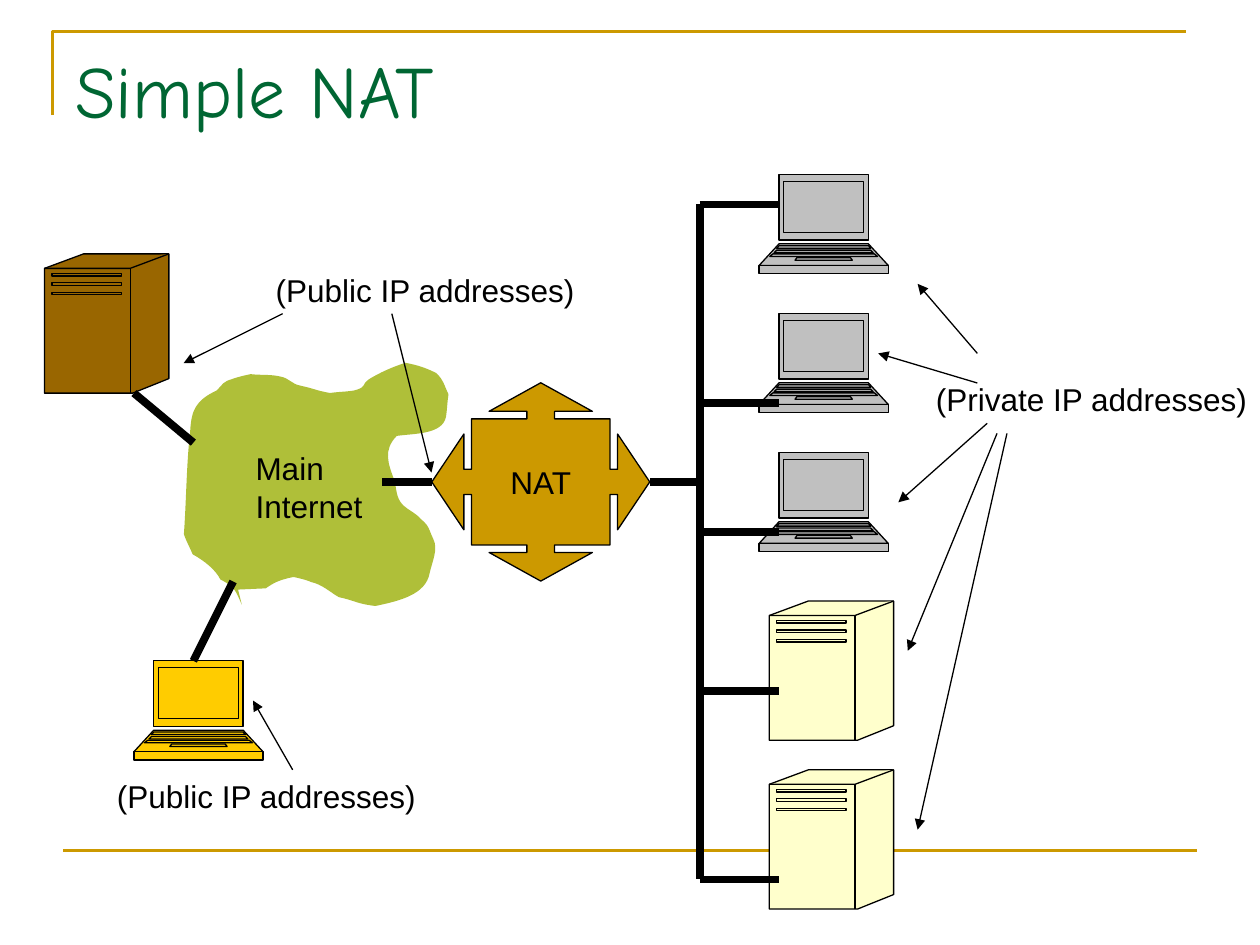
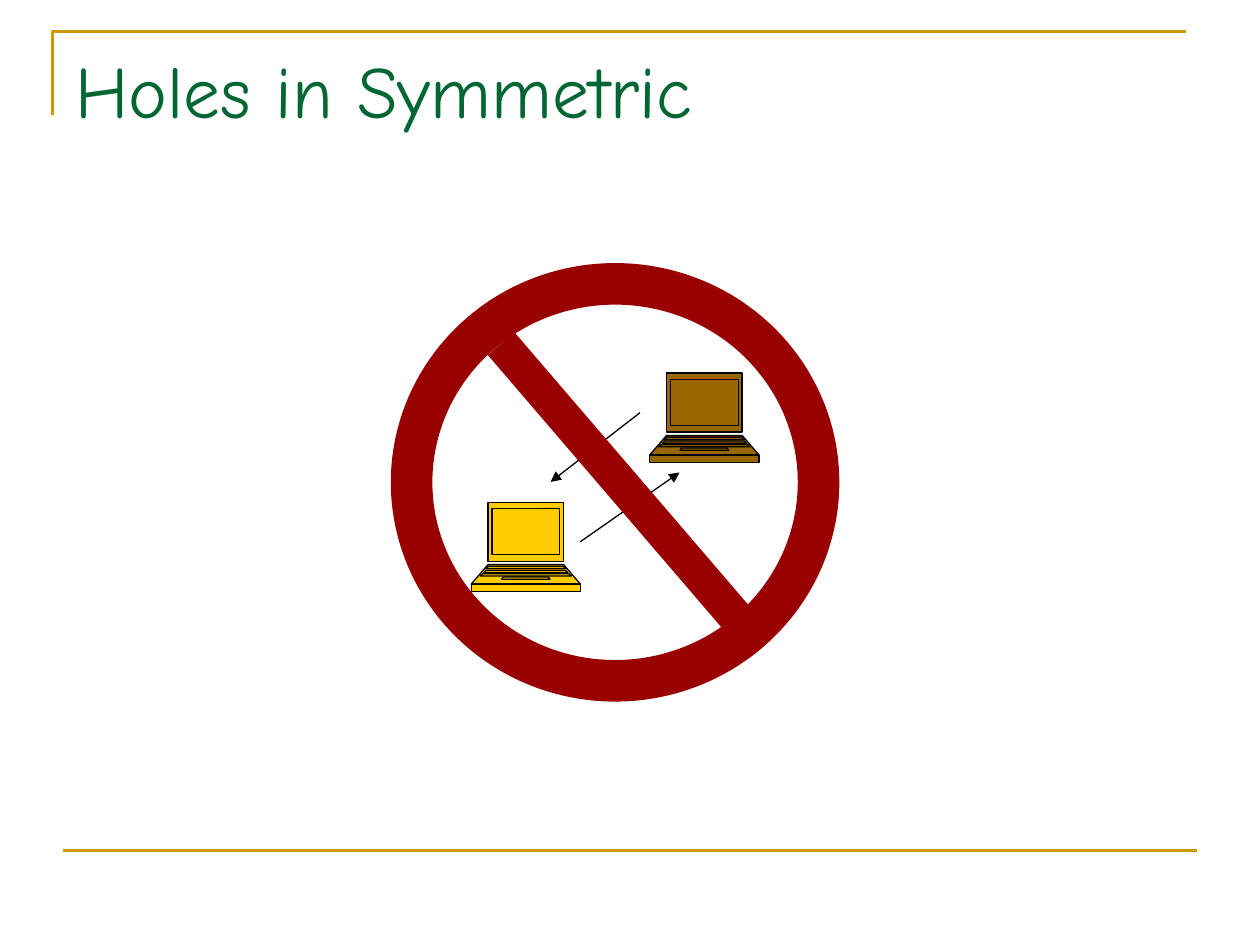
from lxml import etree
from pptx import Presentation
from pptx import util as u
from pptx.dml.color import RGBColor
from pptx.enum import shapes, text
from pptx.oxml.ns import qn

# Grid of 100 columns by 75 rows, shared by all slides
COLS = 100
WIDE, HIGH = u.Inches(10), u.Inches(7.5)
CELL = WIDE / COLS

GOLD, GREEN, BLACK = "CC9900", "006633", "000000"
GREY, CREAM, BROWN, AMBER = "C0C0C0", "FFFFCC", "996600", "FFCC00"
MOSS, RED = "AFBF39", "990000"
BODY, HEAD = "Arial", "Comic Neue"
THIN, RULE, CABLE = 0.75, 1.5, 4.5

# Laptop panels: side inset at top and bottom, upper and lower edge
LAPTOP = (10.25, 7.87)
PANELS = [
    (1.58, 1.58, 0, 5.2), (1.58, 0, 5.5, 7.22), (0, 0, 7.22, 7.87),
    (1.95, 1.95, 0.55, 4.6), (1.58, 1.38, 5.65, 5.85), (3, 2.85, 6.6, 6.8),
    (1.4, 1.2, 6, 6.2), (1.1, 0.85, 6.3, 6.5),
]

# Cloud outline: start, then cubic curves (two controls and an end)
CLOUD = [
    (19.2, 48),
    (18.7, 46.9), (18.7, 46.6), (17.5, 46),
    (17.1, 45.2), (16.2, 44.5), (15.3, 44),
    (15.1, 43.5), (14.8, 43), (14.6, 42.4),
    (14.8, 39.7), (14.8, 36.9), (15.1, 34.2),
    (15.2, 32.6), (15.5, 31.8), (17.2, 31),
    (17.7, 30.5), (17.7, 30.3), (18.4, 30.1),
    (18.9, 29.9), (19.9, 29.7), (19.9, 29.7),
    (20.7, 29.8), (21.5, 29.7), (22.3, 29.9),
    (22.9, 30), (23.2, 30.5), (23.8, 30.6),
    (25.5, 31), (24.7, 30.9), (26.2, 31.2),
    (26.8, 31.1), (27.5, 31.1), (28.1, 31),
    (29.2, 30.7), (28.6, 30.6), (29.3, 30.1),
    (30.1, 29.6), (31.2, 29.1), (32.2, 28.8),
    (33.2, 29), (33.8, 29.2), (34.6, 29.6),
    (35.2, 30.1), (35.3, 30.7), (35.6, 31.3),
    (35.5, 31.9), (35.5, 32.5), (35.4, 33.1),
    (35.1, 34.5), (32.9, 34.4), (31.5, 34.6),
    (30.4, 35.7), (30.8, 36.8), (31.3, 38.1),
    (31.5, 38.8), (31.4, 39.5), (32, 40.1),
    (32.4, 40.5), (33, 40.7), (33.4, 41.2),
    (33.6, 41.3), (33.7, 41.5), (33.9, 41.7),
    (34.1, 42), (34.2, 42.4), (34.4, 42.8),
    (34.8, 43.6), (34.3, 44.6), (34.1, 45.5),
    (33.8, 47.2), (31.7, 47.7), (29.8, 48.1),
    (28.2, 47.9), (28.3, 47.7), (26.9, 47.4),
    (26.2, 47), (25.6, 46.4), (24.7, 46.2),
    (24.3, 46), (23.3, 45.8), (23.3, 45.8),
    (22.3, 46), (21.8, 46.2), (21.1, 46.7),
]

# One quarter of the four-way arrow, from its top tip to its right tip
QUARTER = [
    (0, -7.87), (4.1, -5.6), (1.1, -5.6), (1.1, -5), (5.5, -5),
    (5.5, -1), (6.1, -1), (6.1, -3.8), (8.65, 0),
]


def cell(n):
    return u.Emu(round(n * CELL))


def color(hue):
    return RGBColor.from_string(hue)


def paint(shape, fill=None, line=None, size=THIN):
    """Set fill and outline; None leaves either out."""
    shape.shadow.inherit = False
    if fill:
        shape.fill.solid()
        shape.fill.fore_color.rgb = color(fill)
    else:
        shape.fill.background()
    if line:
        shape.line.color.rgb = color(line)
        shape.line.width = u.Pt(size)
    else:
        shape.line.fill.background()


def loop(pts):
    return pts + pts[:1]


def outline(slide, parts, fill=None, line=BLACK, size=THIN):
    """Draw all parts as one shape; a part that ends at its start is closed."""
    pen = slide.shapes.build_freeform(*map(cell, parts[0][0]), scale=1.0)
    for i, part in enumerate(parts):
        dots = [(cell(x), cell(y)) for x, y in part]
        if i:
            pen.move_to(*dots[0])
        pen.add_line_segments(dots[1:], close=part[0] == part[-1])
    shape = pen.convert_to_shape()
    paint(shape, fill, line, size)
    return shape


def route(shape):
    return next(shape._element.iter(qn("a:path")))


def layer(shape):
    """Give each part its own path, so that inner parts cut no holes."""
    first = now = route(shape)
    for node in list(first)[1:]:
        if node.tag == qn("a:moveTo"):
            now = etree.SubElement(
                first.getparent(), first.tag, dict(first.attrib))
        now.append(node)


def link(slide, start, end, size=THIN, hue=BLACK, arrow=False):
    line = slide.shapes.add_connector(
        shapes.MSO_CONNECTOR.STRAIGHT, *map(cell, start + end))
    line.line.color.rgb = color(hue)
    line.line.width = u.Pt(size)
    if arrow:
        tail = etree.SubElement(line.line._get_or_add_ln(), qn("a:tailEnd"))
        tail.set("type", "triangle")
    etree.SubElement(line._element.spPr, qn("a:effectLst"))


def arrow(slide, start, end):
    link(slide, start, end, arrow=True)


def cable(slide, start, end):
    link(slide, start, end, CABLE)


def write(frame, lines, size=18, font=BODY, hue=BLACK, align="LEFT"):
    for i, words in enumerate(lines):
        para = frame.add_paragraph() if i else frame.paragraphs[0]
        para.alignment = getattr(text.PP_ALIGN, align)
        run = para.add_run()
        run.text = words
        run.font.size = u.Pt(size)
        run.font.name = font
        run.font.color.rgb = color(hue)


def label(slide, x, y, w, h, *lines):
    frame = slide.shapes.add_textbox(*map(cell, (x, y, w, h))).text_frame
    frame.word_wrap = False
    frame.auto_size = text.MSO_AUTO_SIZE.SHAPE_TO_FIT_TEXT
    write(frame, lines)


def begin(deck, title):
    """Add a slide with the shared rules and title."""
    slide = deck.slides.add_slide(deck.slide_layouts[6])
    outline(slide, [[(4.17, 9.15), (4.17, 2.48), (94.17, 2.48)]],
            line=GOLD, size=RULE)
    link(slide, (5, 67.5), (95, 67.5), RULE, GOLD)
    frame = slide.shapes.add_textbox(
        *map(cell, (5, 3.05, 90, 12.5))).text_frame
    frame.word_wrap = True
    write(frame, [title], 42, HEAD, GREEN)
    return slide


def laptop(slide, x, y, fill, w=LAPTOP[0], h=LAPTOP[1]):
    full, tall = LAPTOP
    parts = []
    for top, low, y1, y2 in PANELS:
        pts = [(top, y1), (full - top, y1), (full - low, y2), (low, y2)]
        parts.append(loop(
            [(x + a * w / full, y + b * h / tall) for a, b in pts]))
    layer(outline(slide, parts, fill))


def server(slide, x, y, fill):
    parts = [
        loop([(0, 1.15), (3.1, 0), (9.87, 0), (9.87, 9.9),
              (7, 11.05), (0, 11.05)]),
        [(0, 1.15), (6.8, 1.15), (9.87, 0)],
        [(6.8, 1.15), (6.8, 11.05)],
    ]
    for row in range(3):
        top = 1.55 + 0.75 * row
        parts.append(loop([(0.6, top), (6.1, top),
                           (6.1, top + 0.2), (0.6, top + 0.2)]))
    layer(outline(
        slide, [[(x + a, y + b) for a, b in part] for part in parts], fill))


def cloud(slide):
    shape = outline(slide, [CLOUD + [(18.9, 46.8)]], MOSS, None)
    # Turn each three points into one curve
    nodes = list(route(shape))[1:-1]
    for i in range(0, len(nodes), 3):
        curve = etree.Element(qn("a:cubicBezTo"))
        nodes[i].addprevious(curve)
        for node in nodes[i:i + 3]:
            curve.append(node[0])
            node.getparent().remove(node)


def router(slide, x, y):
    right = QUARTER + [(a, -b) for a, b in QUARTER[-2::-1]]
    ring = right + [(-a, b) for a, b in right[-2:0:-1]]
    shape = outline(slide, [loop([(x + a, y + b) for a, b in ring])], GOLD)
    frame = shape.text_frame
    frame.word_wrap = False
    frame.vertical_anchor = text.MSO_ANCHOR.MIDDLE
    write(frame, ["NAT"], align="CENTER")


def simple(deck):
    slide = begin(deck, "Simple NAT")
    cloud(slide)

    # Private network on its bus
    for i in range(3):
        laptop(slide, 60.25, 13.85 + 11.03 * i, GREY)
    for i in range(2):
        server(slide, 61.05, 47.7 + 13.4 * i, CREAM)
    router(slide, 42.92, 38.25)
    bus, top, low = 55.53, 16.23, 69.8
    cable(slide, (bus, top), (bus, low))
    cable(slide, (51.6, 38.27), (bus, 38.27))
    for y in (low, 54.83, 42.23, 32, top):
        cable(slide, (bus, y), (61.83, y))

    # Private addresses
    for start, end in (
            ((77.57, 28.05), (72.83, 22.53)), ((77.57, 30.4), (69.7, 28.05)),
            ((78.35, 33.6), (71.3, 39.87)), ((79.13, 34.4), (72.05, 51.65)),
            ((79.92, 34.4), (72.83, 65.85))):
        arrow(slide, start, end)
    label(slide, 73.3, 29.65, 26.7, 4, "(Private IP addresses)")

    # Public hosts and addresses
    label(slide, 20.9, 21, 25.7, 4, "(Public IP addresses)")
    arrow(slide, (31.1, 24.9), (34.25, 37.5))
    label(slide, 19.3, 35.15, 10.5, 7, "Main", "Internet")
    laptop(slide, 10.63, 52.45, AMBER)
    server(slide, 3.53, 20.15, BROWN)
    arrow(slide, (22.43, 24.9), (14.57, 28.83))
    arrow(slide, (23.23, 61.1), (20.08, 55.6))
    label(slide, 8.3, 61.15, 25.7, 4, "(Public IP addresses)")
    cable(slide, (10.63, 31.2), (15.35, 35.13))
    cable(slide, (15.35, 52.45), (18.5, 46.15))
    cable(slide, (34.25, 38.27), (30.3, 38.27))


def holes(deck):
    slide = begin(deck, "Holes in Symmetric")

    # Ban sign around two hosts
    ring = slide.shapes.add_shape(
        shapes.MSO_SHAPE.OVAL, *map(cell, (32.67, 22.53, 32.3, 31.5)))
    paint(ring, line=RED, size=23.75)
    laptop(slide, 51.57, 29.62, BROWN, 8.67, 7.08)
    laptop(slide, 37.4, 39.87, AMBER, 8.67, 7.08)
    arrow(slide, (46.05, 43), (53.93, 37.5))
    arrow(slide, (50.8, 32.75), (43.7, 38.25))
    link(slide, (39.77, 27.27), (58.67, 49.3), 20, RED)


def main():
    deck = Presentation()
    deck.slide_width, deck.slide_height = WIDE, HIGH
    simple(deck)
    holes(deck)
    deck.save("out.pptx")


if __name__ == "__main__":
    main()
